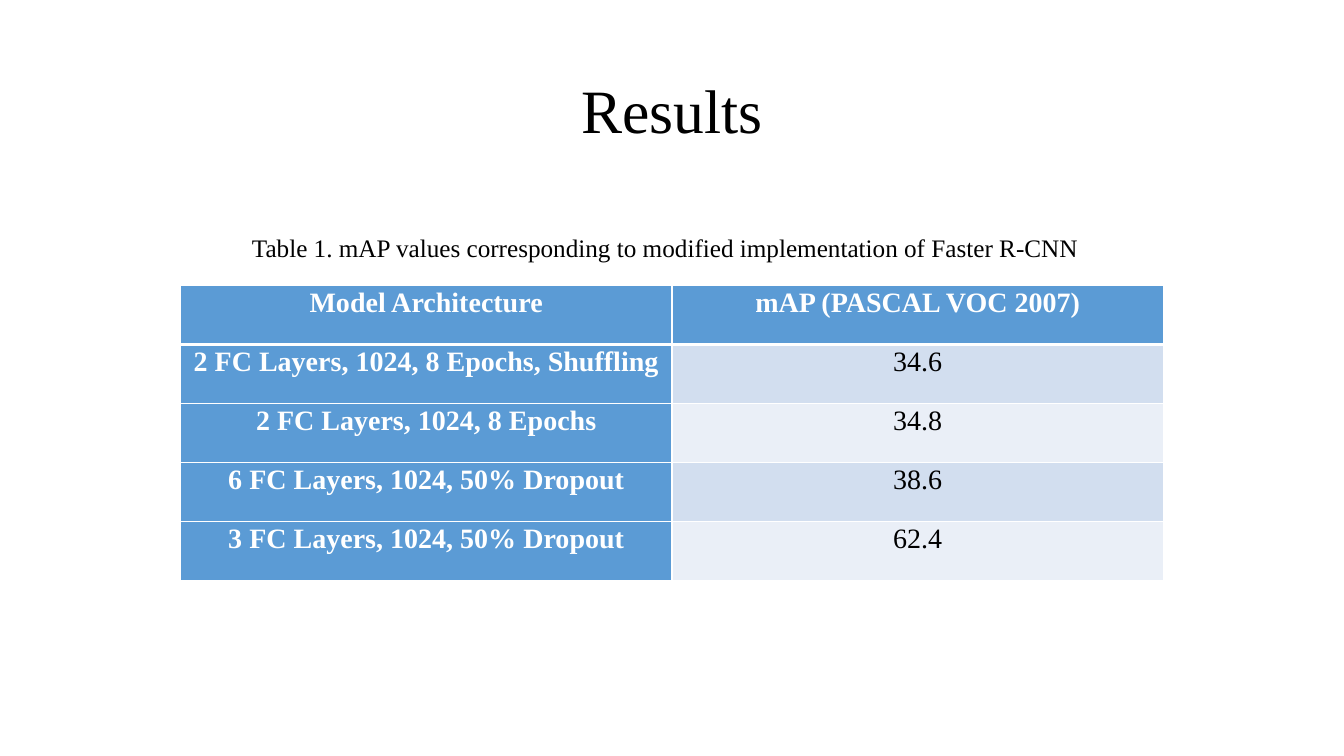
from lxml.etree import SubElement
from pptx import Presentation
from pptx.dml.color import RGBColor
from pptx.enum.text import MSO_ANCHOR, PP_ALIGN
from pptx.oxml.ns import qn
from pptx.util import Cm, Pt

FONT = "Times New Roman"
WHITE, BLACK, BLUE = "FFFFFF", "000000", "5B9BD5"
BANDS = ["D2DEEF", "EAEFF7"]

ROWS = [
    ("Model Architecture", "mAP (PASCAL VOC 2007)"),
    ("2 FC Layers, 1024, 8 Epochs, Shuffling", "34.6"),
    ("2 FC Layers, 1024, 8 Epochs", "34.8"),
    ("6 FC Layers, 1024, 50% Dropout", "38.6"),
    ("3 FC Layers, 1024, 50% Dropout", "62.4"),
]


def rgb(value):
    return RGBColor.from_string(value)


def write(tf, text, size, color=BLACK, bold=False, spacing=None, before=None):
    p = tf.paragraphs[0]
    p.alignment = PP_ALIGN.CENTER
    p.line_spacing = spacing
    p.space_before = before
    r = p.add_run()
    r.text = text
    r.font.name = FONT
    r.font.size = Pt(size)
    r.font.bold = bold
    r.font.color.rgb = rgb(color)


def set_borders(cell, bottom):
    tc_pr = cell._tc.get_or_add_tcPr()
    for side, width in (("L", 1), ("R", 1), ("T", 1), ("B", bottom)):
        ln = SubElement(tc_pr, qn(f"a:ln{side}"), w=str(Pt(width)))
        SubElement(SubElement(ln, qn("a:solidFill")), qn("a:srgbClr"), val=WHITE)


def add_title(s, left, top, width, height):
    title = s.shapes.title
    title.left, title.top = Cm(left), Cm(top)
    title.width, title.height = Cm(width), Cm(height)
    title.text_frame.vertical_anchor = MSO_ANCHOR.MIDDLE
    write(title.text_frame, "Results", 44, spacing=0.9)


def add_caption(s, left, top, width, height):
    box = s.shapes.add_textbox(Cm(left), Cm(top), Cm(width), Cm(height))
    box.text_frame.word_wrap = True
    write(box.text_frame, "Table 1. mAP values corresponding to modified "
          "implementation of Faster R-CNN", 18)


def add_results_table(s, left, top, width, height):
    table = s.shapes.add_table(len(ROWS), len(ROWS[0]), Cm(left), Cm(top),
                               Cm(width), Cm(height)).table
    table.first_col = True
    for i, row in enumerate(ROWS):
        for j, text in enumerate(row):
            cell = table.cell(i, j)
            heading = i == 0 or j == 0
            cell.margin_left = cell.margin_right = Cm(0.19)
            cell.margin_top = cell.margin_bottom = 0
            set_borders(cell, bottom=3 if i == 0 else 1)
            cell.fill.solid()
            cell.fill.fore_color.rgb = rgb(BLUE if heading else BANDS[(i - 1) % 2])
            write(cell.text_frame, text, 20, color=WHITE if heading else BLACK,
                  bold=heading, spacing=1.07, before=Pt(12))


def main():
    prs = Presentation()
    prs.slide_width, prs.slide_height = Cm(33.87), Cm(19.05)
    s = prs.slides.add_slide(prs.slide_layouts[5])

    # Heading
    add_title(s, 2.33, 1.01, 29.21, 3.68)
    # Results with the caption above
    add_results_table(s, 4.55, 7.2, 24.77, 7.42)
    add_caption(s, 4.55, 5.72, 24.43, 1.03)

    prs.save("out.pptx")


if __name__ == "__main__":
    main()
